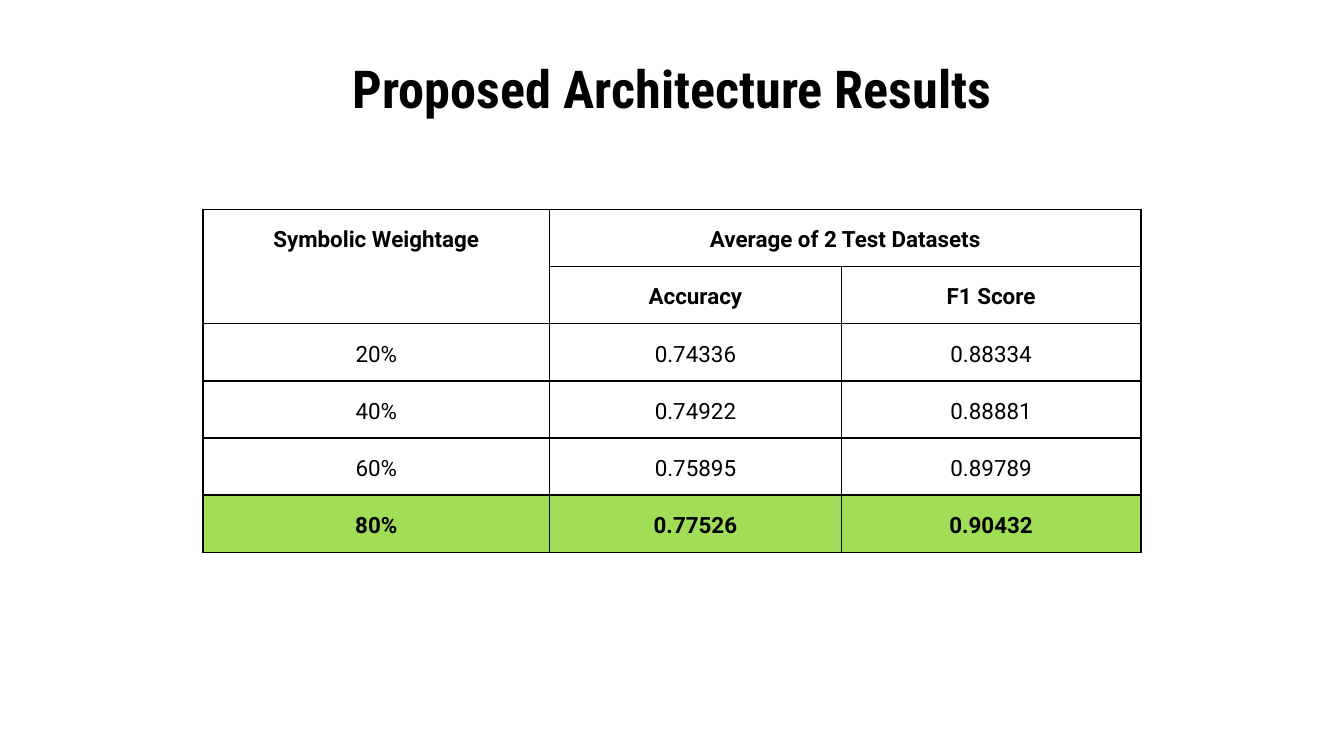
from dataclasses import dataclass

from lxml import etree
from pptx import Presentation
from pptx.dml import color
from pptx.enum import text
from pptx.oxml import ns
from pptx.util import Inches, Pt


@dataclass(frozen=True)
class Theme:
    ink: str = "000000"
    highlight: str = "A1DD56"
    heading_font: str = "Roboto Condensed"
    body_font: str = "Roboto"
    heading_size: int = 28
    body_size: int = 12
    line_spacing: float = 1.15
    border_width: float = 0.75


@dataclass(frozen=True)
class ResultRow:
    values: tuple[str, str, str]
    bold: bool = False
    highlighted: bool = False


THEME = Theme()
PAGE_WIDTH = 10
PAGE_HEIGHT = PAGE_WIDTH * 9 / 16
COLUMN_WIDTHS = (2.58, 2.17, 2.23)
ROW_HEIGHT = 0.42
RESULTS = (
    ResultRow(("Symbolic Weightage", "Average of 2 Test Datasets", ""), bold=True),
    ResultRow(("", "Accuracy", "F1 Score"), bold=True),
    ResultRow(("20%", "0.74336", "0.88334")),
    ResultRow(("40%", "0.74922", "0.88881")),
    ResultRow(("60%", "0.75895", "0.89789")),
    ResultRow(("80%", "0.77526", "0.90432"), bold=True, highlighted=True),
)


def format_paragraph(paragraph, font_name: str, size: int, bold: bool) -> None:
    paragraph.alignment = text.PP_ALIGN.CENTER
    font = paragraph.font
    font.name = font_name
    font.size = Pt(size)
    font.bold = bold
    font.color.rgb = color.RGBColor.from_string(THEME.ink)


def set_margins(box) -> None:
    box.margin_left = box.margin_right = Inches(0.1)
    box.margin_top = box.margin_bottom = Inches(0.1)


def draw_borders(cell) -> None:
    properties = cell._tc.get_or_add_tcPr()
    for position, side in enumerate(("lnL", "lnR", "lnT", "lnB")):
        line = etree.Element(ns.qn(f"a:{side}"), w=str(Pt(THEME.border_width)))
        fill = etree.SubElement(line, ns.qn("a:solidFill"))
        etree.SubElement(fill, ns.qn("a:srgbClr"), val=THEME.ink)
        properties.insert(position, line)


def fill_cell(cell, value: str, row: ResultRow) -> None:
    cell.text = value
    set_margins(cell)
    cell.vertical_anchor = text.MSO_ANCHOR.TOP
    paragraph = cell.text_frame.paragraphs[0]
    format_paragraph(paragraph, THEME.body_font, THEME.body_size, row.bold)
    paragraph.line_spacing = THEME.line_spacing
    if row.highlighted:
        cell.fill.solid()
        cell.fill.fore_color.rgb = color.RGBColor.from_string(THEME.highlight)
    else:
        cell.fill.background()
    draw_borders(cell)


def add_title(page, title: str) -> None:
    box = page.shapes.title
    box.left, box.top = Inches(0.5), Inches(0.45)
    box.width, box.height = Inches(9), Inches(0.41)
    frame = box.text_frame
    frame.text = title
    frame.vertical_anchor = text.MSO_ANCHOR.MIDDLE
    frame.auto_size = text.MSO_AUTO_SIZE.NONE
    set_margins(frame)
    format_paragraph(frame.paragraphs[0], THEME.heading_font, THEME.heading_size, True)


def add_results_table(page, rows: tuple[ResultRow, ...]) -> None:
    table = page.shapes.add_table(
        len(rows), len(COLUMN_WIDTHS), Inches(1.51), Inches(1.56),
        Inches(sum(COLUMN_WIDTHS)), Inches(ROW_HEIGHT * len(rows)),
    ).table
    table.first_row = False
    table.horz_banding = False
    for column, width in zip(table.columns, COLUMN_WIDTHS):
        column.width = Inches(width)
    for row_index, row in enumerate(rows):
        table.rows[row_index].height = Inches(ROW_HEIGHT)
        for column_index, value in enumerate(row.values):
            fill_cell(table.cell(row_index, column_index), value, row)
    table.cell(0, 0).merge(table.cell(1, 0))
    table.cell(0, 1).merge(table.cell(0, 2))


def main() -> None:
    deck = Presentation()
    deck.slide_width, deck.slide_height = Inches(PAGE_WIDTH), Inches(PAGE_HEIGHT)
    page = deck.slides.add_slide(deck.slide_layouts.get_by_name("Title Only"))
    add_title(page, "Proposed Architecture Results")
    add_results_table(page, RESULTS)
    deck.save("out.pptx")


if __name__ == "__main__":
    main()
